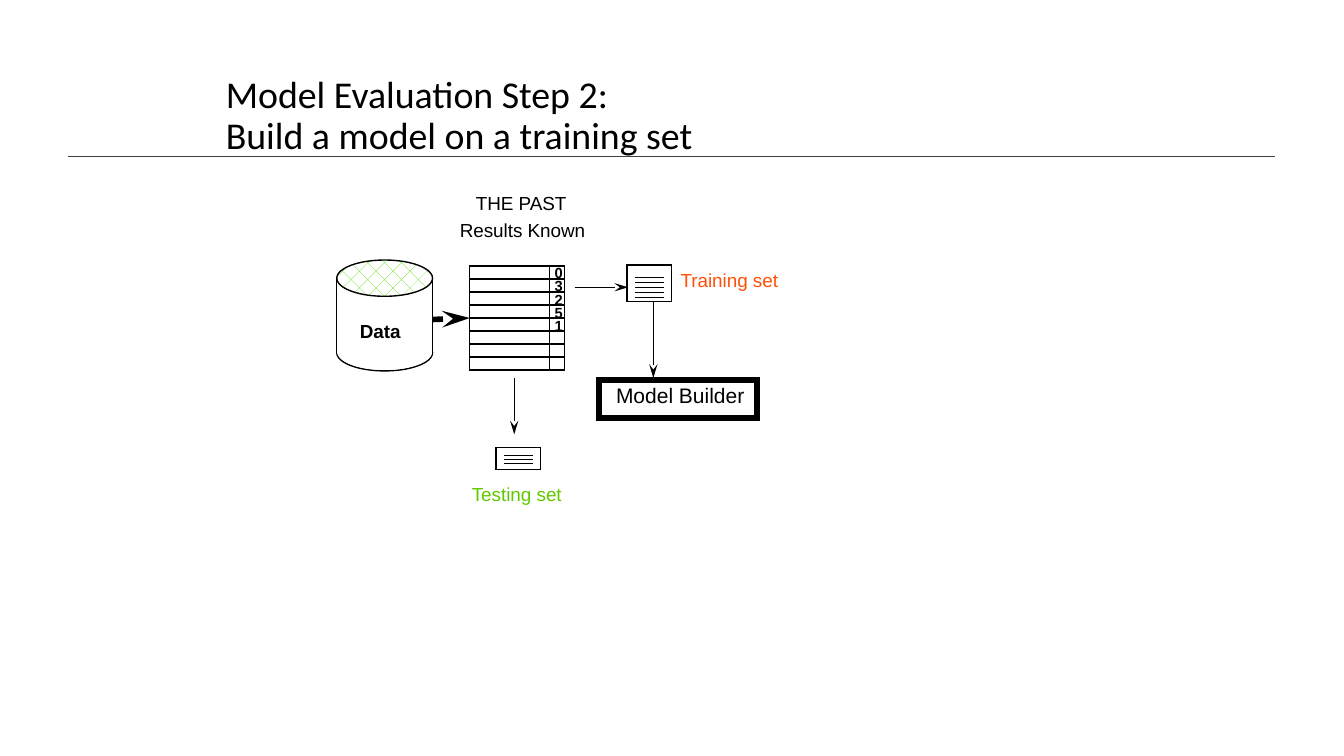
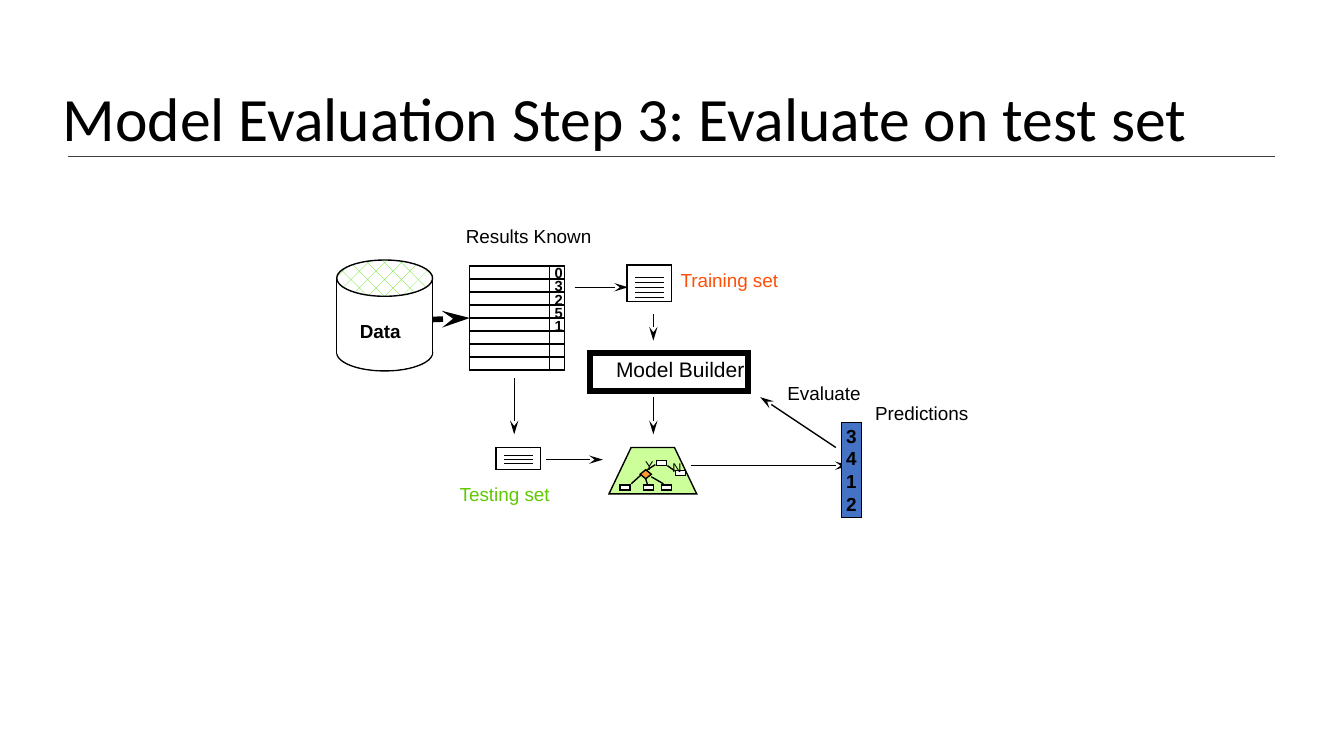
from lxml.etree import SubElement
from pptx import Presentation
from pptx.dml.color import RGBColor
from pptx.enum.dml import MSO_PATTERN
from pptx.enum.shapes import MSO_CONNECTOR, MSO_SHAPE
from pptx.enum.text import MSO_ANCHOR, MSO_AUTO_SIZE, PP_ALIGN
from pptx.oxml.ns import qn
from pptx.util import Inches, Pt

COLORS = {
    "black": "000000", "white": "FFFFFF", "rule": "404040",
    "training": "FF5008", "testing": "60C900", "hatch": "51DC00",
    "model": "CCFF99", "node": "FF9933", "predictions": "4472C4",
}
RESULTS = ["0", "3", "2", "5", "1"]
PREDICTIONS = ["3", "4", "1", "2"]
RECORD_ROWS = 8

SLIDES = [
    {
        "title": "Model Evaluation Step 2: \vBuild a model on a training set",
        "title_at": (2.16, 0.56, 9.15, 1.19),
        "title_size": 27,
        "labels": [
            ("THE PAST", 4.64, 1.86, 1.06, "black"),
            ("Results Known", 4.48, 2.13, 1.41, "black"),
            ("Training set", 6.67, 2.63, 1.13, "training"),
            ("Testing set", 4.6, 4.75, 1.06, "testing"),
        ],
        "builder": (5.94, 3.77),
        "builder_text": (6.03, 3.75),
        "arrows": [(6.48, 3, 6.48, 3.75)],
        "evaluated": False,
    },
    {
        "title": "Model Evaluation Step 3: Evaluate on test set",
        "title_at": (0.54, 0.32, 12.53, 1.77),
        "title_size": 44,
        "labels": [
            ("Results Known", 4.54, 2.19, 1.41, "black"),
            ("Training set", 6.67, 2.63, 1.13, "training"),
            ("Testing set", 4.48, 4.75, 1.06, "testing"),
            ("Evaluate", 7.73, 3.75, 0.89, "black"),
            ("Predictions", 8.6, 3.94, 1.09, "black"),
        ],
        "builder": (5.85, 3.5),
        "builder_text": (6.03, 3.5),
        "arrows": [
            (6.48, 3.12, 6.48, 3.38),
            (6.48, 3.94, 6.48, 4.31),
            (5.42, 4.56, 5.98, 4.56),
            (6.85, 4.62, 8.42, 4.62),
            (8.29, 4.44, 7.54, 3.94),
        ],
        "evaluated": True,
    },
]
SHARED_ARROWS = [(5.7, 2.85, 6.23, 2.85), (5.1, 3.75, 5.1, 4.31)]

MODEL_OUTLINE = [(6.04, 4.9), (6.26, 4.44), (6.69, 4.44), (6.91, 4.9)]
TREE_LEAVES = [(6.51, 4.57), (6.7, 4.67), (6.15, 4.81), (6.38, 4.81), (6.56, 4.81)]
TREE_BRANCHES = [
    (6.5, 4.61, 6.42, 4.66), (6.62, 4.62, 6.69, 4.67), (6.36, 4.71, 6.26, 4.8),
    (6.4, 4.74, 6.42, 4.8), (6.46, 4.73, 6.58, 4.8),
]
TREE_ANSWERS = [("Y", 6.32, 4.5), ("N", 6.59, 4.52)]


def rgb(name):
    return RGBColor.from_string(COLORS[name])


def add_line(shapes, x1, y1, x2, y2, color="black", width=1, arrow=False):
    line = shapes.add_connector(
        MSO_CONNECTOR.STRAIGHT, Inches(x1), Inches(y1), Inches(x2), Inches(y2))
    line.line.color.rgb = rgb(color)
    line.line.width = Pt(width)
    sp_pr = line.element.spPr
    if arrow:
        SubElement(sp_pr.find(qn("a:ln")), qn("a:tailEnd"), type="stealth", w="med", len="lg")
    SubElement(sp_pr, qn("a:effectLst"))
    return line


def style(sp, fill=None, width=1):
    sp.shadow.inherit = False
    if fill:
        sp.fill.solid()
        sp.fill.fore_color.rgb = rgb(fill)
    else:
        sp.fill.background()
    if width:
        sp.line.color.rgb = rgb("black")
        sp.line.width = Pt(width)
        SubElement(sp.element.spPr.find(qn("a:ln")), qn("a:miter"), lim="800000")
    else:
        sp.line.fill.background()


def add_box(shapes, x, y, w, h, fill=None, width=1, kind=MSO_SHAPE.RECTANGLE):
    sp = shapes.add_shape(kind, Inches(x), Inches(y), Inches(w), Inches(h))
    style(sp, fill, width)
    return sp


def set_margins(tf):
    tf.margin_left = tf.margin_right = Inches(0.08)
    tf.margin_top = tf.margin_bottom = Inches(0.04)


def set_font(p, size, color="black", bold=False, name="Arial"):
    p.font.name = name
    p.font.size = Pt(size)
    p.font.bold = bold
    p.font.color.rgb = rgb(color)


def add_text(shapes, text, x, y, w, h=0.3, size=13.5, color="black", bold=False, wrap=False):
    tf = shapes.add_textbox(Inches(x), Inches(y), Inches(w), Inches(h)).text_frame
    set_margins(tf)
    tf.word_wrap = wrap
    tf.auto_size = MSO_AUTO_SIZE.SHAPE_TO_FIT_TEXT
    tf.text = text
    set_font(tf.paragraphs[0], size, color, bold)


def add_title(s, text, at, size):
    title = s.shapes.title
    title.left, title.top, title.width, title.height = map(Inches, at)
    tf = title.text_frame
    set_margins(tf)
    tf.auto_size = MSO_AUTO_SIZE.NONE
    tf.vertical_anchor = MSO_ANCHOR.MIDDLE
    tf.text = text
    p = tf.paragraphs[0]
    p.alignment = PP_ALIGN.LEFT
    p.line_spacing = 0.9
    set_font(p, size, name="Calibri")


def add_database(s):
    x, w, h = 3.34, 0.95, 0.36
    shapes = s.shapes.add_group_shape().shapes
    add_box(shapes, x, 3.32, w, h, kind=MSO_SHAPE.OVAL)
    lid = add_box(shapes, x, 2.58, w, h, kind=MSO_SHAPE.OVAL)
    lid.fill.patterned()
    lid.fill.pattern = MSO_PATTERN.DOTTED_DIAMOND
    lid.fill.fore_color.rgb = rgb("hatch")
    lid.fill.back_color.rgb = rgb("white")
    add_box(shapes, x, 3.29, w, 0.38, "white", 0, MSO_SHAPE.OVAL)
    for side in (x, x + w):
        add_line(shapes, side, 2.77, side, 3.51)
    add_text(s.shapes, "Data", 3.49, 3.13, 0.6, bold=True)


def add_records(s):
    x, y, w, h = 4.66, 2.64, 0.94, 1.03
    grid = add_box(s.shapes, x, y, w, h)
    for i in range(1, RECORD_ROWS):
        row_y = y + i * h / RECORD_ROWS
        add_line(s.shapes, x, row_y, x + w, row_y)
    add_line(s.shapes, 5.45, y, 5.45, y + h)
    for i, result in enumerate(RESULTS):
        add_text(s.shapes, result, 5.42, 2.58 + 0.13 * i, 0.23, 0.25, 10.5, bold=True)
    flow = add_line(s.shapes, 4.29, 3.17, 4.65, 3.17, width=4, arrow=True)
    flow.end_connect(grid, 1)


def add_document(s, x, y, h, rows, first, pitch):
    shapes = s.shapes.add_group_shape().shapes
    add_box(shapes, x, y, 0.44, h)
    for i in range(rows):
        row_y = y + first + pitch * i
        add_line(shapes, x + 0.08, row_y, x + 0.37, row_y)


def add_model(s):
    shapes = s.shapes.add_group_shape().shapes
    points = [(Inches(x), Inches(y)) for x, y in MODEL_OUTLINE]
    outline = shapes.build_freeform(*points[0])
    outline.add_line_segments(points[1:], close=True)
    style(outline.convert_to_shape(), "model")
    for x, y in TREE_LEAVES:
        add_box(shapes, x, y, 0.1, 0.05, "white")
    for branch in TREE_BRANCHES:
        add_line(shapes, *branch)
    for answer, x, y in TREE_ANSWERS:
        add_text(shapes, answer, x, y, 0.24, 0.23, 9)
    add_box(shapes, 6.35, 4.66, 0.11, 0.09, "node", kind=MSO_SHAPE.DIAMOND)


def add_predictions(s):
    tf = add_box(s.shapes, 8.35, 4.19, 0.19, 0.94, "predictions", 0.75).text_frame
    tf.word_wrap = False
    tf.vertical_anchor = MSO_ANCHOR.MIDDLE
    tf.text = "\n".join(PREDICTIONS)
    for p in tf.paragraphs:
        p.alignment = PP_ALIGN.CENTER
        set_font(p, 13.5, bold=True)


def add_rule(s, layout):
    rule = add_line(s.shapes, 0.67, 1.55, 12.65, 1.55, "rule")
    layout.shapes.element.append(rule.element)


def build_slide(s, content):
    add_title(s, content["title"], content["title_at"], content["title_size"])
    add_database(s)
    add_records(s)
    add_document(s, 6.22, 2.63, 0.36, rows=5, first=0.12, pitch=0.05)
    add_document(s, 4.92, 4.44, 0.22, rows=3, first=0.08, pitch=0.04)
    for arrow in SHARED_ARROWS + content["arrows"]:
        add_line(s.shapes, *arrow, arrow=True)
    add_box(s.shapes, *content["builder"], 1.57, 0.38, "white", 4)
    add_text(s.shapes, "Model Builder", *content["builder_text"], 1.49, 0.33, 15, wrap=True)
    if content["evaluated"]:
        add_model(s)
        add_predictions(s)
    for text, x, y, w, color in content["labels"]:
        add_text(s.shapes, text, x, y, w, color=color)


def main():
    prs = Presentation()
    prs.slide_width, prs.slide_height = Inches(13.33), Inches(7.5)
    layout = prs.slide_layouts[5]
    for ph in list(layout.placeholders):
        if ph.placeholder_format.idx:
            layout.shapes.element.remove(ph.element)
    slides = [prs.slides.add_slide(layout) for _ in SLIDES]
    add_rule(slides[0], layout)
    for s, content in zip(slides, SLIDES):
        build_slide(s, content)
    prs.save("out.pptx")


if __name__ == "__main__":
    main()
